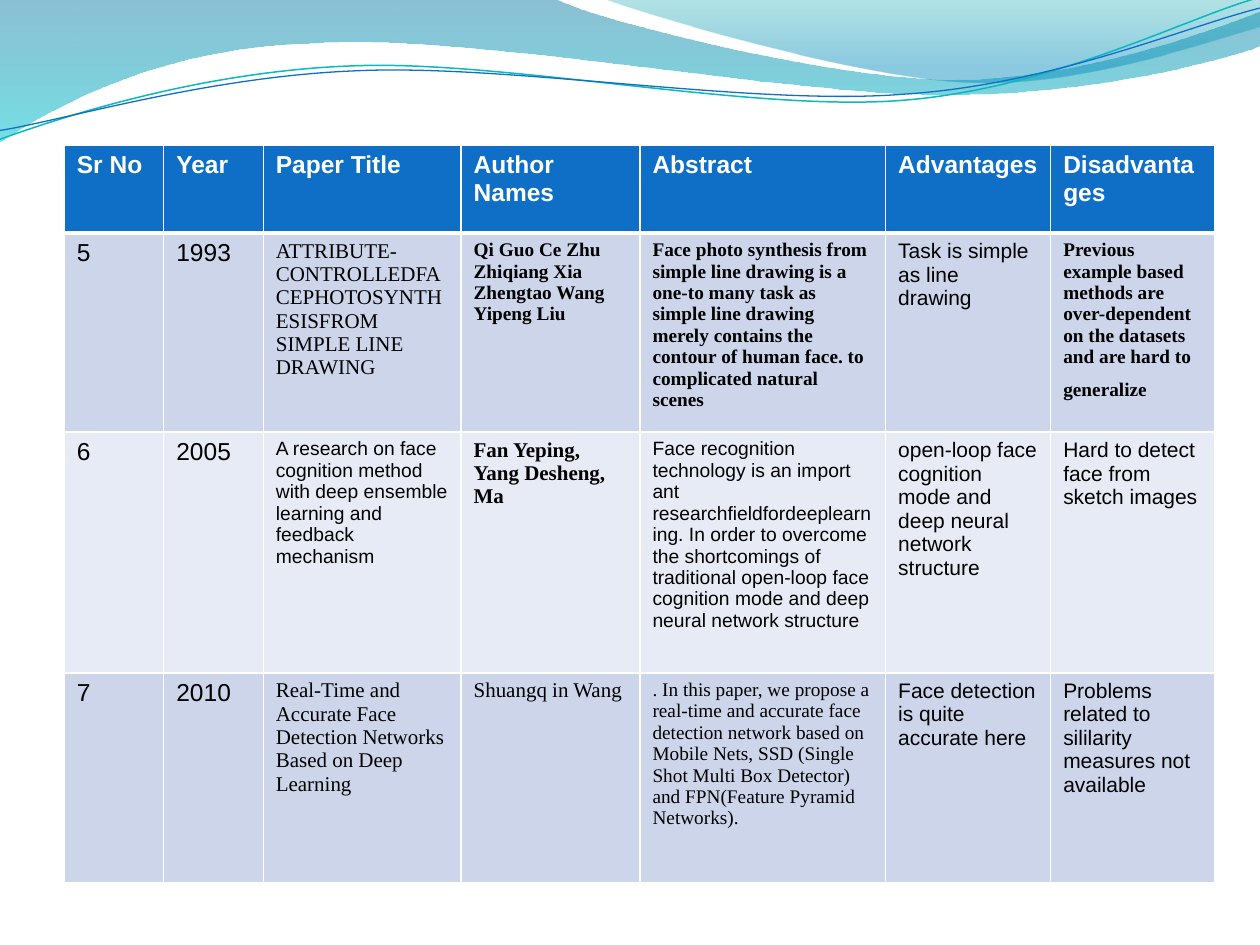
import lxml.etree
import pptx
import pptx.dml.color
import pptx.oxml.ns
import pptx.util

SCALE = 9144
COLS = [79, 79, 157, 142, 195, 131, 130]
ROWS = [70, 158, 191, 167]
FILLS = ["0F6FC6", "CCD5EA", "E7EBF5", "CCD5EA"]

STYLES = {
    "head": {"name": "Arial", "size": 14, "bold": True},
    "big": {"name": "Arial", "size": 14, "bold": False},
    "mid": {"name": "Arial", "size": 12, "bold": False},
    "small": {"name": "Arial", "size": 11, "bold": False},
    "serif": {"name": "Times New Roman", "size": 12, "bold": False},
    "fine": {"name": "Times New Roman", "size": 11, "bold": False},
    "strong": {"name": "Times New Roman", "size": 12, "bold": True},
    "dense": {"name": "Times New Roman", "size": 11, "bold": True},
    "gap": {"name": "Times New Roman", "size": 18, "bold": True},
}

HEADS = ["Sr No", "Year", "Paper Title", "Author Names", "Abstract",
         "Advantages", "Disadvantages"]
PAPERS = [
    [
        [("big", "5")],
        [("big", "1993")],
        [("serif", "ATTRIBUTE-CONTROLLEDFACEPHOTOSYNTHESISFROM "
                   "SIMPLE LINE DRAWING")],
        [("dense", "Qi Guo Ce Zhu Zhiqiang Xia Zhengtao Wang Yipeng Liu")],
        [("dense", "Face photo synthesis from simple line drawing is a "
                   "one-to many task as simple line drawing merely contains "
                   "the contour of human face. to complicated natural "
                   "scenes")],
        [("mid", "Task is simple as line drawing")],
        [("dense", "Previous example based methods are over-dependent on "
                   "the datasets and are hard to generalize"), ("gap", " ")],
    ],
    [
        [("big", "6")],
        [("big", "2005")],
        [("small", "A research on face cognition method with deep ensemble "
                   "learning and feedback mechanism")],
        [("strong", "Fan Yeping, Yang Desheng, Ma")],
        [("small", "Face recognition technology is an import ant "
                   "researchfieldfordeeplearning. In order to overcome the "
                   "shortcomings of traditional open-loop face cognition "
                   "mode and deep neural network structure")],
        [("mid", "open-loop face cognition mode and deep neural network "
                 "structure")],
        [("mid", "Hard to detect face from sketch images")],
    ],
    [
        [("big", "7")],
        [("big", "2010")],
        [("serif", "Real-Time and Accurate Face Detection Networks Based on "
                   "Deep Learning")],
        [("serif", "Shuangq in Wang")],
        [("fine", ". In this paper, we propose a real-time and accurate "
                  "face detection network based on Mobile Nets, SSD (Single "
                  "Shot Multi Box Detector) and FPN(Feature Pyramid "
                  "Networks).")],
        [("mid", "Face detection is quite accurate here")],
        [("mid", "Problems related to sililarity measures not available")],
    ],
]

WAVES = [
    ([(0, 0), (440, -1), (476, 17, 664, 63, 758, 63),
      (853, 63, 958, 26, 1000, 9), (1001, 36), (983, 44, 870, 76, 746, 75),
      (622, 75, 382, 28, 257, 34), (129, 36, 46, 83, -1, 113)],
     [(0, "0074A1", 45), (1, "00C6CF", 55)]),
    ([(479, -1), (509, 11, 682, 62, 769, 65), (856, 69, 961, 32, 1000, 21),
      (1000, 0)],
     [(0, "00A1A9", 30), (0.8, "008BBF", 45)]),
]
STROKES = [
    ([(-2, 87), (47, 72, 158, 41, 278, 42), (396, 42, 591, 93, 712, 90),
      (832, 87, 940, 36, 1000, 22)], "0AB8BF", 0.85),
    ([(-2, 80), (46, 75, 164, 45, 283, 46), (403, 46, 596, 89, 716, 85),
      (835, 83, 942, 42, 1002, 30)], "0F6FC6", 0.75),
]
TILT = 357.3


def px(num):
    """Turn px into EMU."""
    return pptx.util.Emu(round(num * SCALE))


def tint(code):
    """Turn a hex string into a colour."""
    return pptx.dml.color.RGBColor.from_string(code)


def sub(node, tag, **attrs):
    """Add a drawing element below a node."""
    return lxml.etree.SubElement(node, pptx.oxml.ns.qn(tag), attrs)


def bend(shape, steps):
    """Turn line segments with control points into cubic curves."""
    lines = list(shape._element.spPr.iter(pptx.oxml.ns.qn("a:lnTo")))
    for line, step in zip(lines, steps[1:]):
        if len(step) == 2:
            continue
        line.tag = pptx.oxml.ns.qn("a:cubicBezTo")
        for idx in (0, 1):
            x, y = step[2 * idx:2 * idx + 2]
            dot = sub(line, "a:pt", x=str(px(x) - shape.left),
                      y=str(px(y) - shape.top))
            line.insert(idx, dot)


def draw(slide, steps, close):
    """Add a freeform that follows the steps."""
    dots = [(px(step[-2]), px(step[-1])) for step in steps]
    pen = slide.shapes.build_freeform(*dots[0])
    pen.add_line_segments(dots[1:], close=close)
    shape = pen.convert_to_shape()
    shape.shadow.inherit = False
    bend(shape, steps)
    return shape


def add_wave(slide, steps, stops):
    """Add a band with a see-through gradient."""
    shape = draw(slide, steps, True)
    shape.line.fill.background()
    shape.fill.gradient()
    shape.fill.gradient_angle = 270
    for stop, (place, code, _) in zip(shape.fill.gradient_stops, stops):
        stop.position = place
        stop.color.rgb = tint(code)
    marks = shape._element.spPr.iter(pptx.oxml.ns.qn("a:srgbClr"))
    for mark, (_, _, part) in zip(list(marks), stops):
        sub(mark, "a:alpha", val=str(part * 1000))


def add_stroke(slide, steps, code, width):
    """Add a thin curved line."""
    shape = draw(slide, steps, False)
    shape.rotation = TILT
    shape.fill.background()
    shape.line.color.rgb = tint(code)
    shape.line.width = pptx.util.Pt(width)


def fill_cell(cell, runs, row):
    """Set the borders, fill and text of a cell."""
    props = cell._tc.get_or_add_tcPr()
    thick = {0: "a:lnB", 1: "a:lnT"}.get(row)
    for side in ("a:lnL", "a:lnR", "a:lnT", "a:lnB"):
        width = pptx.util.Pt(3 if side == thick else 1)
        edge = sub(props, side, w=str(width))
        sub(sub(edge, "a:solidFill"), "a:srgbClr", val="FFFFFF")
    cell.fill.solid()
    cell.fill.fore_color.rgb = tint(FILLS[row])
    for style, text in runs:
        run = cell.text_frame.paragraphs[0].add_run()
        run.text = text
        look = STYLES[style]
        for key, val in (look | {"size": pptx.util.Pt(look["size"])}).items():
            setattr(run.font, key, val)
        run.font.color.rgb = tint("000000" if row else "FFFFFF")


def add_grid(slide):
    """Add the table of papers."""
    frame = slide.shapes.add_table(len(ROWS), len(COLS), px(51), px(115),
                                   px(sum(COLS)), px(sum(ROWS)))
    grid = frame.table
    grid.horz_banding = False
    for col, width in zip(grid.columns, COLS):
        col.width = px(width)
    for row, height in zip(grid.rows, ROWS):
        row.height = px(height)
    texts = [[[("head", head)] for head in HEADS]] + PAPERS
    for row, line in enumerate(texts):
        for col, runs in enumerate(line):
            fill_cell(grid.cell(row, col), runs, row)


def main():
    """Build and save the slide."""
    deck = pptx.Presentation()
    deck.slide_width, deck.slide_height = px(1000), px(750)
    slide = deck.slides.add_slide(deck.slide_layouts[6])
    for wave in WAVES:
        add_wave(slide, *wave)
    for stroke in STROKES:
        add_stroke(slide, *stroke)
    add_grid(slide)
    deck.save("out.pptx")


if __name__ == "__main__":
    main()
